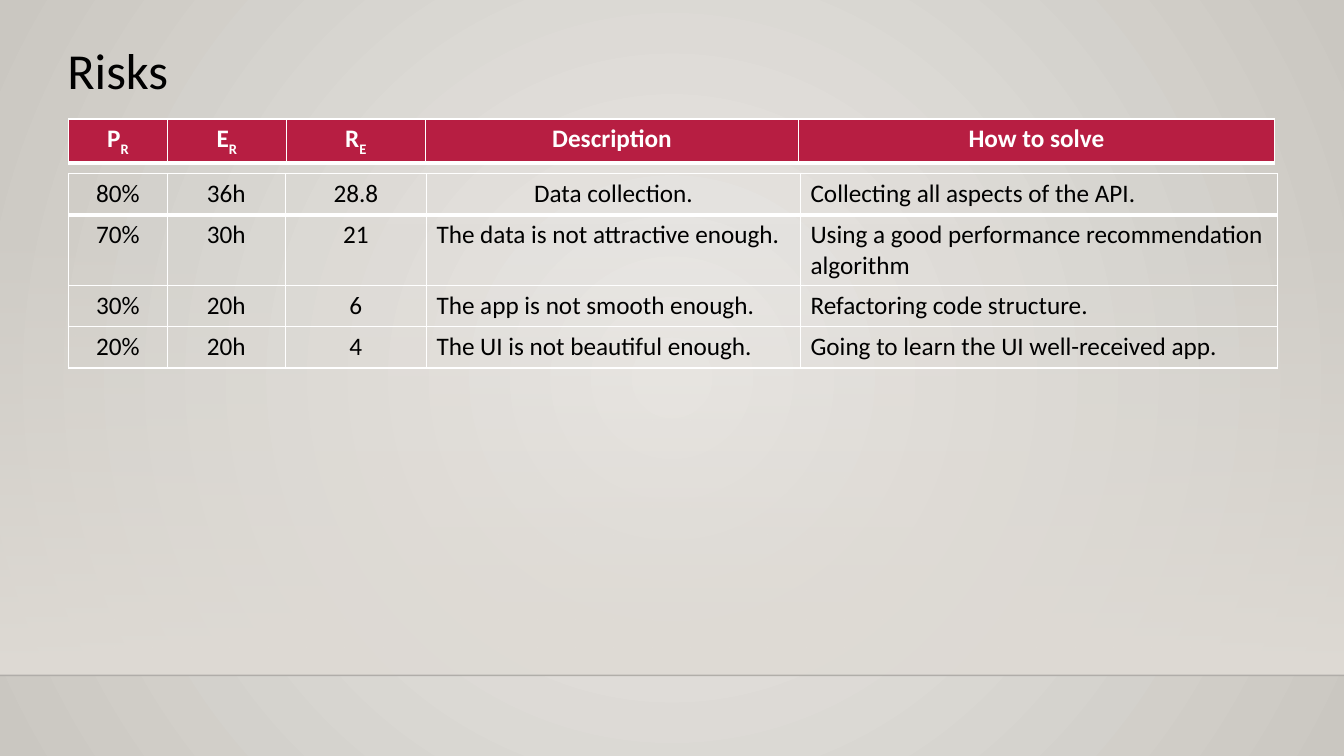
from lxml import etree
from pptx import Presentation
from pptx.dml.color import RGBColor
from pptx.enum.shapes import MSO_CONNECTOR, MSO_SHAPE
from pptx.enum.text import MSO_AUTO_SIZE, PP_ALIGN
from pptx.oxml.ns import qn
from pptx.util import Inches, Pt

CENTER, LEFT = PP_ALIGN.CENTER, PP_ALIGN.LEFT
RECTANGLE, STRAIGHT = MSO_SHAPE.RECTANGLE, MSO_CONNECTOR.STRAIGHT
GROW = MSO_AUTO_SIZE.SHAPE_TO_FIT_TEXT

WHITE = RGBColor(0xFF, 0xFF, 0xFF)
BLACK = RGBColor(0x00, 0x00, 0x00)
CRIMSON = RGBColor(0xB7, 0x1E, 0x42)
GLOW = RGBColor(0xEC, 0xEA, 0xE7)
EDGE = RGBColor(0xCA, 0xC7, 0xC1)
FLOOR = RGBColor(0xDF, 0xDB, 0xD5)
HORIZON = RGBColor(0x00, 0x00, 0x01)

SLIDE_W, SLIDE_H = 13.33, 7.5
HORIZON_Y = 6.7
TITLE_FORMAT = {"size": Pt(36), "name": "Calibri"}
HEADING_FORMAT = {"size": Pt(18), "name": "Calibri", "bold": True}
BODY_FORMAT = {"size": Pt(18), "name": "Calibri", "bold": False}

HEADINGS = [("P", "R"), ("E", "R"), ("R", "E"), ("Description",), ("How to solve",)]
RISKS = [
    ("80%", "36h", "28.8", "Data collection.", "Collecting all aspects of the API."),
    ("70%", "30h", "21", "The data is not attractive enough.",
     "Using a good performance recommendation algorithm"),
    ("30%", "20h", "6", "The app is not smooth enough.", "Refactoring code structure."),
    ("20%", "20h", "4", "The UI is not beautiful enough.",
     "Going to learn the UI well-received app."),
]


def set_font(run, formats, color):
    """Apply a dict of font values and a colour to a run."""
    for attribute, value in formats.items():
        setattr(run.font, attribute, value)
    run.font.color.rgb = color


def set_gradient(fill, colors):
    """Give a fill a gradient between two colours."""
    fill.gradient()
    for stop, color in zip(fill.gradient_stops, colors):
        stop.color.rgb = color


def set_alpha(color_element, percent):
    """Set the opacity of a colour element."""
    etree.SubElement(color_element, qn("a:alpha")).set("val", str(percent * 1000))


def set_borders(cell, bottom):
    """Draw white cell borders with the given bottom width in points."""
    properties = cell._tc.get_or_add_tcPr()
    for side, width in (("L", 1), ("R", 1), ("T", 1), ("B", bottom)):
        border = etree.SubElement(properties, qn(f"a:ln{side}"), w=str(Pt(width)))
        solid = etree.SubElement(border, qn("a:solidFill"))
        etree.SubElement(solid, qn("a:srgbClr"), val=str(WHITE))


def add_backdrop(slide, width, height, horizon_y):
    """Paint the radial background, the floor glow and the horizon line."""
    set_gradient(slide.background.fill, (GLOW, EDGE))
    radial = slide.element.find(".//" + qn("a:gradFill"))
    radial.remove(radial.find(qn("a:lin")))
    circle = etree.SubElement(radial, qn("a:path"), path="circle")
    etree.SubElement(circle, qn("a:fillToRect"), l="50000", t="50000", r="50000", b="50000")

    glow_top = 2.21
    floor = slide.shapes.add_shape(RECTANGLE, 0, Inches(glow_top), Inches(width),
                                   Inches(horizon_y - glow_top))
    floor.shadow.inherit = False
    floor.line.fill.background()
    set_gradient(floor.fill, (FLOOR, FLOOR))
    floor.fill.gradient_angle = 270
    set_alpha(floor._element.spPr.find(".//" + qn("a:srgbClr")), 0)

    horizon = slide.shapes.add_connector(STRAIGHT, 0, Inches(horizon_y),
                                         Inches(width), Inches(horizon_y))
    horizon.line.width = Pt(1)
    horizon.line.color.rgb = HORIZON
    line_properties = horizon._element.spPr
    set_alpha(line_properties.find(".//" + qn("a:srgbClr")), 20)
    etree.SubElement(line_properties, qn("a:effectLst"))


def add_title(slide, left, top, width, height, text):
    """Write the slide title."""
    title = slide.shapes.add_textbox(*map(Inches, (left, top, width, height))).text_frame
    title.word_wrap = True
    title.auto_size = GROW
    run = title.paragraphs[0].add_run()
    run.text = text
    set_font(run, TITLE_FORMAT, BLACK)


def add_grid(slide, left, top, columns, rows):
    """Add a plain table with the given column widths and row heights."""
    grid = slide.shapes.add_table(len(rows), len(columns), Inches(left), Inches(top),
                                  Inches(sum(columns)), Inches(sum(rows))).table
    grid.first_row = grid.horz_banding = False
    for column, width in zip(grid.columns, columns):
        column.width = Inches(width)
    for row, height in zip(grid.rows, rows):
        row.height = Inches(height)
    return grid


def add_headings(slide, left, top):
    """Add the red heading row with subscripted symbols."""
    grid = add_grid(slide, left, top, (0.98, 1.18, 1.38, 3.7, 4.72), (0.41,))
    for cell, parts in zip(grid.rows[0].cells, HEADINGS):
        set_borders(cell, 3)
        cell.fill.solid()
        cell.fill.fore_color.rgb = CRIMSON
        paragraph = cell.text_frame.paragraphs[0]
        paragraph.alignment = CENTER
        for position, part in enumerate(parts):
            run = paragraph.add_run()
            run.text = part
            set_font(run, HEADING_FORMAT, WHITE)
            if position:
                run._r.get_or_add_rPr().set("baseline", "-25000")


def add_risks(slide, left, top):
    """Add the table of risks, with a thick rule under the first one."""
    grid = add_grid(slide, left, top, (0.98, 1.17, 1.4, 3.71, 4.73), (0.41, 0.7, 0.41, 0.41))
    for row_index, (row, risk) in enumerate(zip(grid.rows, RISKS)):
        centered = 4 if row_index == 0 else 3
        for column_index, (cell, text) in enumerate(zip(row.cells, risk)):
            set_borders(cell, 3 if row_index == 0 else 1)
            cell.fill.background()
            paragraph = cell.text_frame.paragraphs[0]
            paragraph.alignment = CENTER if column_index < centered else LEFT
            run = paragraph.add_run()
            run.text = text
            set_font(run, BODY_FORMAT, BLACK)


def main():
    """Build and save the risks slide."""
    deck = Presentation()
    deck.slide_width, deck.slide_height = Inches(SLIDE_W), Inches(SLIDE_H)
    slide = deck.slides.add_slide(deck.slide_layouts[6])
    add_backdrop(slide, SLIDE_W, SLIDE_H, HORIZON_Y)
    add_headings(slide, 0.68, 1.18)
    add_title(slide, 0.57, 0.34, 3.99, 0.71, "Risks")
    add_risks(slide, 0.68, 1.72)
    deck.save("out.pptx")


if __name__ == "__main__":
    main()
